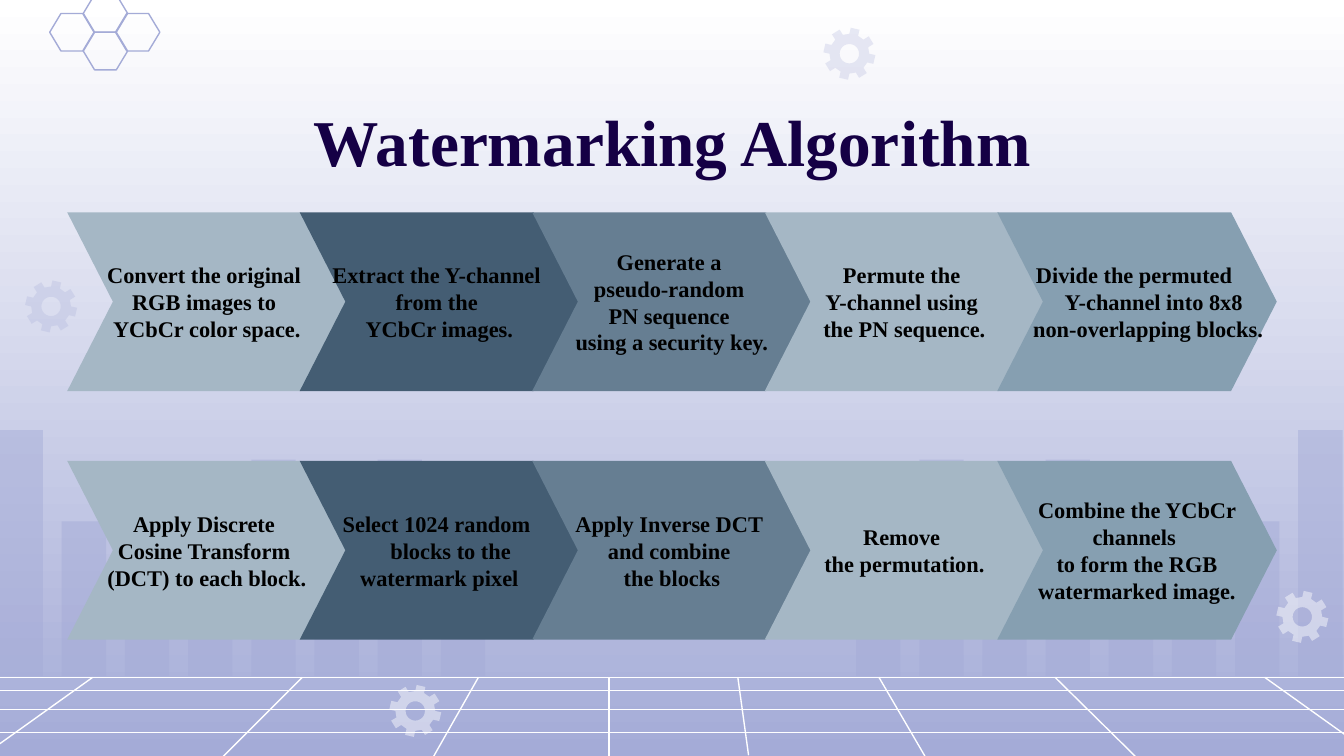
from math import cos, radians, sin

from lxml import etree
from pptx import Presentation
from pptx.dml.color import RGBColor
from pptx.enum.shapes import MSO_CONNECTOR, MSO_SHAPE
from pptx.enum.text import MSO_ANCHOR, PP_ALIGN
from pptx.oxml.ns import qn
from pptx.util import Inches, Pt

STRAIGHT = MSO_CONNECTOR.STRAIGHT
RECTANGLE = MSO_SHAPE.RECTANGLE
HEXAGON = MSO_SHAPE.HEXAGON
CENTER = PP_ALIGN.CENTER
MIDDLE = MSO_ANCHOR.MIDDLE
TOP = MSO_ANCHOR.TOP

FONT = "Times New Roman"
WHITE = RGBColor(0xFF, 0xFF, 0xFF)
BLACK = RGBColor(0x00, 0x00, 0x00)
LAVENDER = RGBColor(0xA4, 0xAB, 0xD7)
INDIGO = RGBColor(0x15, 0x00, 0x45)
MIST = RGBColor(0xA5, 0xB7, 0xC5)
NAVY = RGBColor(0x44, 0x5D, 0x73)
SLATE = RGBColor(0x66, 0x7E, 0x92)
STEEL = RGBColor(0x86, 0x9F, 0xB1)
STEP_COLORS = [MIST, NAVY, SLATE, MIST, STEEL]

BAR_HEIGHTS = [1.83, 1.15, 1.4, 1.15, 1.61, 0.5, 1.61, 0.5]
FLOOR_ROWS = [0, 0.1, 0.24, 0.41]
FLOOR_RAYS = [
    (-0.01, 0.5, 0.69), (1.66, 0.59, 2.25), (3.22, 0.6, 3.56), (4.53, 0.59, 4.53),
    (10.11, 0.5, 9.41), (8.45, 0.59, 7.85), (6.89, 0.6, 6.54), (5.57, 0.58, 5.49),
]
GEARS = [
    (0.19, 2.09, LAVENDER, 25), (9.5, 4.4, WHITE, 45),
    (2.9, 5.1, WHITE, 45), (6.13, 0.21, LAVENDER, 25),
]
FIRST_STEPS = [
    [("Convert the original ", 0), ("RGB images to ", 0), ("YCbCr color space.", 0)],
    [("Extract the Y-channel ", 0), ("from the ", 0), ("YCbCr images.", 0)],
    [("Generate a ", 0), ("pseudo-random ", 0), ("PN sequence ", 0),
     ("using a security key.", 0)],
    [("Permute the ", 0), ("Y-channel using ", 0), ("the PN sequence.", 0)],
    [("Divide the permuted ", 0), ("Y-channel into 8x8", 18),
     ("non-overlapping blocks.", 12)],
]
LAST_STEPS = [
    [("Apply Discrete ", 0), ("Cosine Transform ", 0), ("(DCT) to each block.", 0)],
    [("Select 1024 random ", 0), ("blocks to the watermark pixel", 12)],
    [("Apply Inverse DCT ", 0), ("and combine ", 0), ("the blocks", 0)],
    [("Remove ", 0), ("the permutation.", 0)],
    [("Combine the YCbCr channels ", 0), ("to form the RGB watermarked image.", 0)],
]


def paint(shape, color, opacity=100):
    shape.shadow.inherit = False
    shape.line.fill.background()
    shape.fill.solid()
    shape.fill.fore_color.rgb = color
    if opacity < 100:
        color_element = shape.fill._xPr.find(qn("a:solidFill"))[0]
        etree.SubElement(color_element, qn("a:alpha"), val=str(opacity * 1000))


def add_outline(slide, contours):
    contours = [[(Inches(x), Inches(y)) for x, y in points] for points in contours]
    builder = slide.shapes.build_freeform(*contours[0][0])
    builder.add_line_segments(contours[0][1:])
    for points in contours[1:]:
        builder.move_to(*points[0])
        builder.add_line_segments(points[1:])
    return builder.convert_to_shape()


def add_line(slide, x1, y1, x2, y2):
    line = slide.shapes.add_connector(
        STRAIGHT, Inches(x1), Inches(y1), Inches(x2), Inches(y2))
    line.line.color.rgb = WHITE
    line.line.width = Pt(0.75)
    etree.SubElement(line._element.spPr, qn("a:effectLst"))


def add_text(paragraph, text, size, color):
    paragraph.alignment = CENTER
    run = paragraph.add_run()
    run.text = text
    run.font.name = FONT
    run.font.size = Pt(size)
    run.font.bold = True
    run.font.color.rgb = color


def set_frame(frame, anchor, top=0.1):
    frame.word_wrap = True
    frame.vertical_anchor = anchor
    frame.margin_left = frame.margin_right = frame.margin_bottom = Inches(0.1)
    frame.margin_top = Inches(top)


def add_skyline(slide, left, bottom, pitch):
    for index, height in enumerate(BAR_HEIGHTS):
        bar = slide.shapes.add_shape(
            RECTANGLE, Inches(left + index * pitch), Inches(bottom - height),
            Inches(0.33), Inches(height))
        paint(bar, LAVENDER, 47)


def add_floor(slide, left, top, width):
    for offset in FLOOR_ROWS:
        add_line(slide, left, top + offset, left + width, top + offset)
    for near, depth, far in FLOOR_RAYS:
        add_line(slide, left + near, top + depth, left + far, top)


def add_gear(slide, left, top, size, color, opacity):
    center_x, center_y = left + size / 2, top + size / 2

    def ring(points):
        ring_points = [(center_x + radius * cos(radians(angle)),
                        center_y + radius * sin(radians(angle)))
                       for radius, angle in points]
        return ring_points + ring_points[:1]

    tooth = [(0.39, -13), (0.51, -10), (0.51, 10), (0.39, 13)]
    teeth = ring([(size * radius, 13 + 45 * index + angle)
                  for index in range(8) for radius, angle in tooth])
    hole = ring([(size * 0.19, -angle) for angle in range(0, 360, 15)])
    paint(add_outline(slide, [teeth, hole]), color, opacity)


def add_honeycomb(slide, left, top):
    for x, y in [(0, 0.14), (0.49, 0.14), (0.25, 0), (0.25, 0.28)]:
        cell = slide.shapes.add_shape(
            HEXAGON, Inches(left + x), Inches(top + y), Inches(0.33), Inches(0.28))
        cell.adjustments[0] = 0.3
        cell.shadow.inherit = False
        cell.fill.background()
        cell.line.color.rgb = LAVENDER
        cell.line.width = Pt(0.75)


def add_title(slide, left, top, width, height):
    title = slide.shapes.add_textbox(
        Inches(left), Inches(top), Inches(width), Inches(height))
    set_frame(title.text_frame, TOP, 0.16)
    add_text(title.text_frame.paragraphs[0], "Watermarking Algorithm", 35, INDIGO)


def add_step(slide, left, top, width, height, color, lines):
    notch = 0.34
    right, middle, bottom = left + width, top + height / 2, top + height
    step = add_outline(slide, [[
        (left, top), (left + notch, middle), (left, bottom),
        (right - notch, bottom), (right, middle), (right - notch, top), (left, top)]])
    paint(step, color)
    frame = step.text_frame
    set_frame(frame, MIDDLE)
    for index, (text, indent) in enumerate(lines):
        paragraph = frame.add_paragraph() if index else frame.paragraphs[0]
        add_text(paragraph, text, 12, BLACK)
        if indent:
            properties = paragraph._p.get_or_add_pPr()
            properties.set("marL", "0")
            properties.set("indent", str(Pt(indent)))


def add_step_row(slide, left, top, width, height, steps):
    step_width = 2.08
    pitch = (width - step_width) / (len(steps) - 1)
    for index, (color, lines) in enumerate(zip(STEP_COLORS, steps)):
        add_step(slide, left + index * pitch, top, step_width, height, color, lines)


def set_background(slide):
    fill = slide.background.fill
    fill.gradient()
    fill.gradient_angle = 270
    for stop, color, position in zip(fill.gradient_stops, (WHITE, LAVENDER), (0, 1)):
        stop.color.rgb = color
        stop.position = position


def main():
    presentation = Presentation()
    presentation.slide_width = Inches(10)
    presentation.slide_height = Inches(5.625)
    slide = presentation.slides.add_slide(presentation.slide_layouts[6])
    set_background(slide)
    add_skyline(slide, 9.66, 5.03, -0.47)
    add_skyline(slide, -0.01, 5.03, 0.47)
    add_floor(slide, 0, 5.04, 10)
    for left, top, color, opacity in GEARS:
        add_gear(slide, left, top, 0.38, color, opacity)
    add_honeycomb(slide, 0.37, -0.04)
    add_title(slide, 0.79, 0.59, 8.43, 0.63)
    add_step_row(slide, 0.5, 1.58, 9, 1.33, FIRST_STEPS)
    add_step_row(slide, 0.5, 3.43, 9, 1.33, LAST_STEPS)
    presentation.save("out.pptx")


if __name__ == "__main__":
    main()
